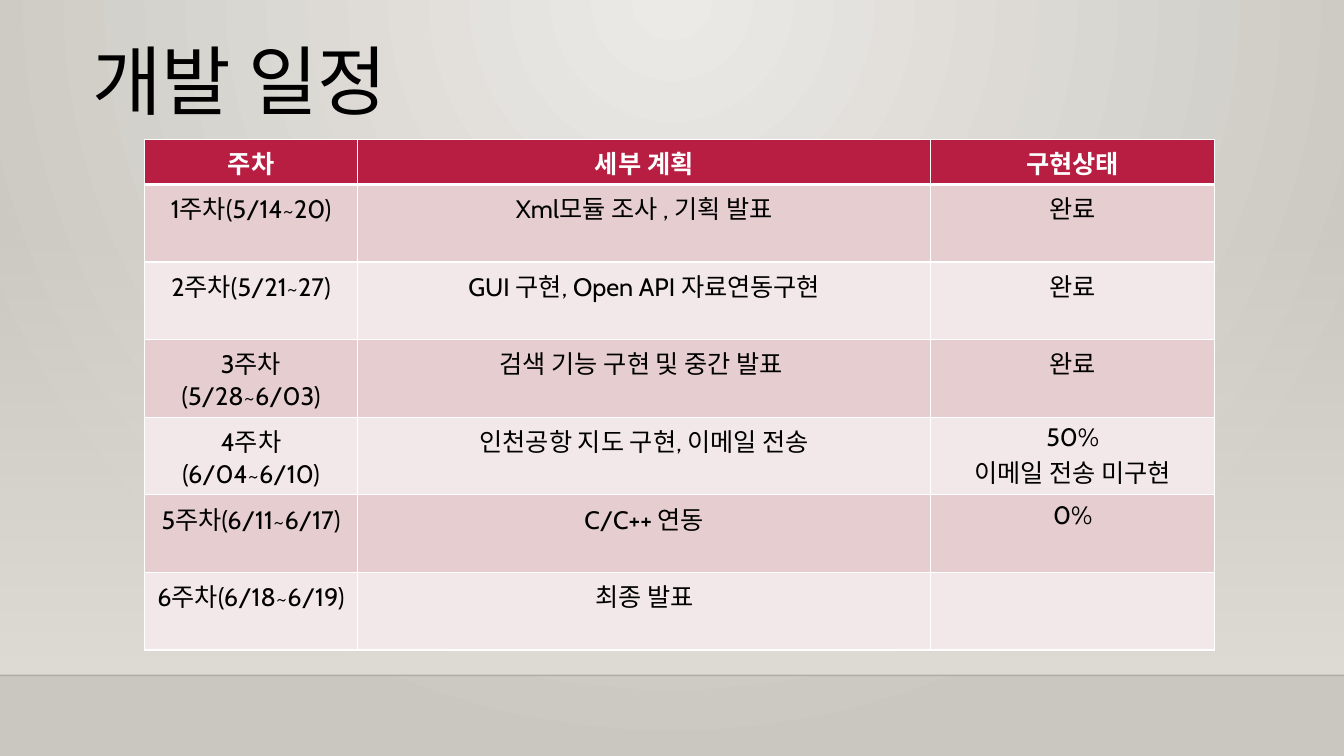
from lxml import etree
from pptx import Presentation
from pptx.dml.color import RGBColor
from pptx.enum import shapes, text
from pptx.oxml import ns
from pptx.util import Inches, Pt


def rgb(value):
    return RGBColor.from_string(value)


def add(parent, tag, **attrs):
    return etree.SubElement(parent, ns.qn(tag), {k: str(v) for k, v in attrs.items()})


prs = Presentation()
prs.slide_width, prs.slide_height = Inches(13.33), Inches(7.5)
s = prs.slides.add_slide(prs.slide_layouts[6])

# Background: radial gradient from the top centre
fill = s.background.fill
fill.gradient()
for stop, color in zip(fill.gradient_stops, ("ECEAE7", "CAC7C1")):
    stop.color.rgb = rgb(color)
lin = next(s._element.iter(ns.qn("a:lin")))
grad = lin.getparent()
grad.remove(lin)
add(add(grad, "a:path", path="circle"), "a:fillToRect", l=43000, t=0, r=43000, b=100000)

# Wall: fades in from top to bottom
sp = s.shapes.add_shape(shapes.MSO_SHAPE.RECTANGLE, 0, Inches(2.21), Inches(13.33), Inches(4.49))
sp.shadow.inherit = False
sp.line.fill.background()
sp.fill.gradient()
sp.fill.gradient_angle = 270
for stop in sp.fill.gradient_stops:
    stop.color.rgb = rgb("DFDBD5")
add(next(sp._element.spPr.iter(ns.qn("a:srgbClr"))), "a:alpha", val=0)

# Floor line
floor = s.shapes.add_connector(shapes.MSO_CONNECTOR.STRAIGHT, 0, Inches(6.7), Inches(13.33), Inches(6.7))
floor.line.width = Pt(1)
floor.line.color.rgb = rgb("000001")
add(next(floor._element.spPr.iter(ns.qn("a:srgbClr"))), "a:alpha", val=20000)
add(floor._element.spPr, "a:effectLst")

# Title
tf = s.shapes.add_textbox(Inches(-2.87), Inches(0.39), Inches(10.5), Inches(1.15)).text_frame
tf.word_wrap = True
p = tf.paragraphs[0]
p.alignment, p.line_spacing = text.PP_ALIGN.CENTER, 0.9
r = p.add_run()
r.text = "개발 일정"
r.font.color.rgb = rgb("000000")
for key, value in {"name": "Cabin", "size": Pt(54)}.items():
    setattr(r.font, key, value)

# Schedule table
rows = [
    ("주차", "세부 계획", "구현상태"),
    ("1주차(5/14~20)", "Xml모듈 조사 , 기획 발표", "완료"),
    ("2주차(5/21~27)", "GUI 구현, Open API 자료연동구현", "완료"),
    ("3주차(5/28~6/03)", "검색 기능 구현 및 중간 발표 ", "완료"),
    ("4주차(6/04~6/10)", "인천공항 지도 구현, 이메일 전송", "50%\n이메일 전송 미구현"),
    ("5주차(6/11~6/17)", "C/C++ 연동", "0%"),
    ("6주차(6/18~6/19)", "최종 발표", ""),
]
table = s.shapes.add_table(len(rows), 3, Inches(1.43), Inches(1.38), Inches(10.62), Inches(5.04)).table
for col, width in zip(table.columns, (2.12, 5.68, 2.82)):
    col.width = Inches(width)

for i, row in enumerate(rows):
    header = i == 0
    table.rows[i].height = Inches(0.45 if header else 0.77)
    cell_fill = "B71E42" if header else ("F3E8E9", "E6CDCF")[i % 2]
    font = {"name": "Cabin", "size": Pt(18), "bold": header}
    # The rule under the header is thicker than the others
    borders = {"L": 1, "R": 1, "T": 3 if i == 1 else 1, "B": 3 if header else 1}
    for cell, words in zip(table.rows[i].cells, row):
        cell.text = words
        for p in cell.text_frame.paragraphs:
            p.alignment = text.PP_ALIGN.CENTER
            for key, value in font.items():
                setattr(p.font, key, value)
            p.font.color.rgb = rgb("FFFFFF" if header else "000000")
            for r in p.runs:
                for key, value in font.items():
                    setattr(r.font, key, value)
                r.font.color.rgb = rgb("FFFFFF" if header else "000000")
        tc_pr = cell._tc.get_or_add_tcPr()
        for side, width in borders.items():
            ln = add(tc_pr, f"a:ln{side}", w=Pt(width))
            add(add(ln, "a:solidFill"), "a:srgbClr", val="FFFFFF")
        cell.fill.solid()
        cell.fill.fore_color.rgb = rgb(cell_fill)

prs.save("out.pptx")
